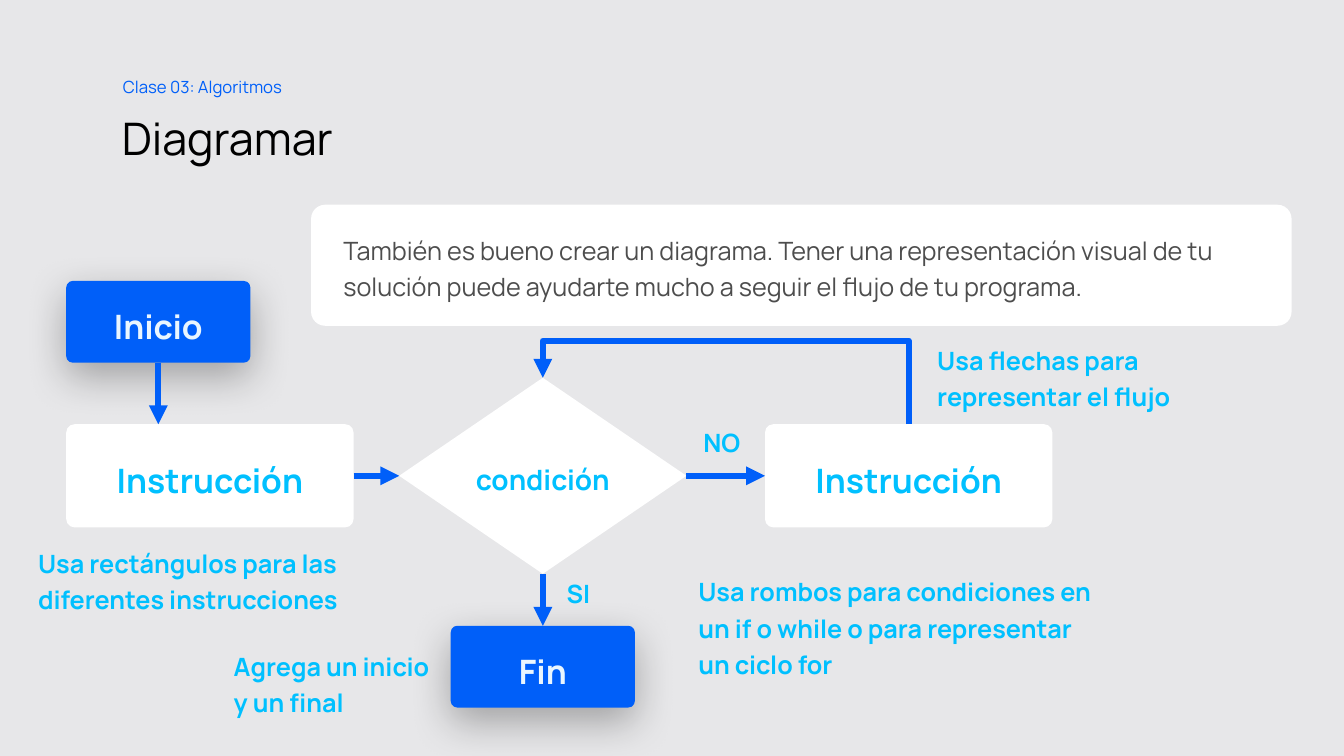
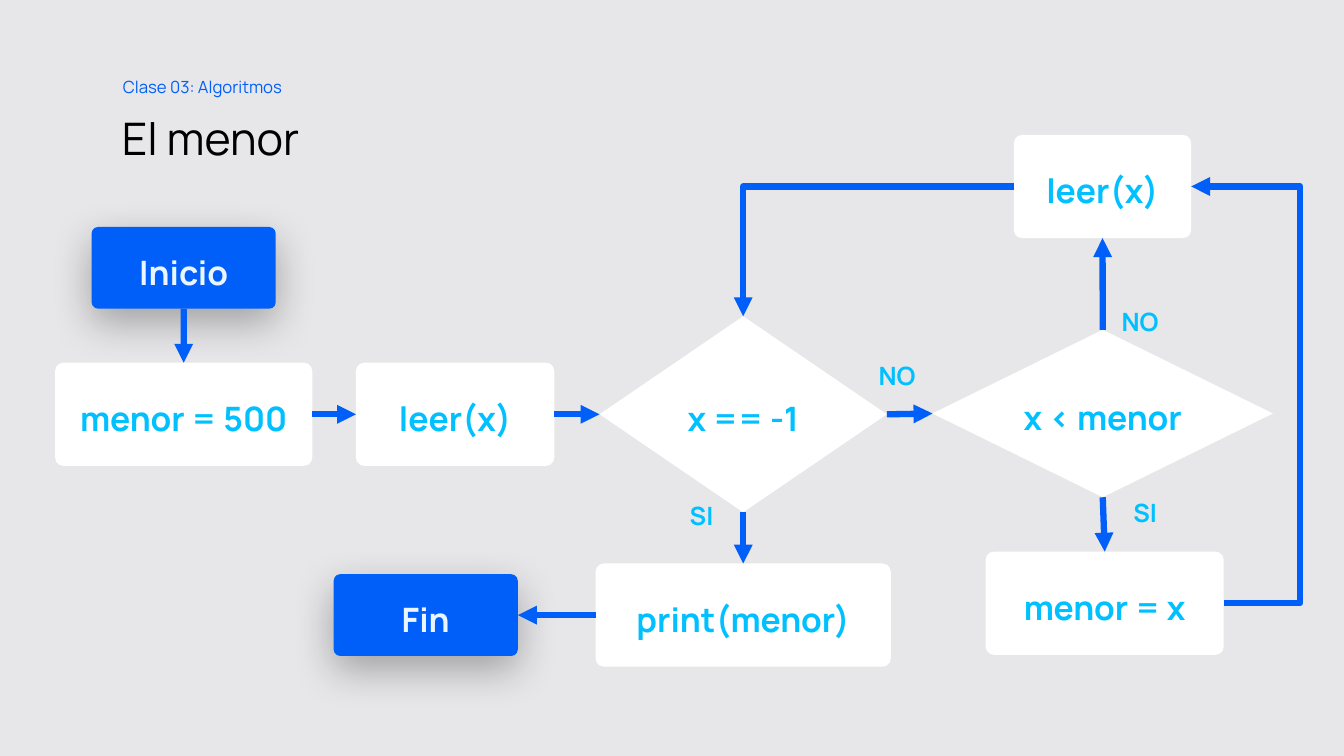
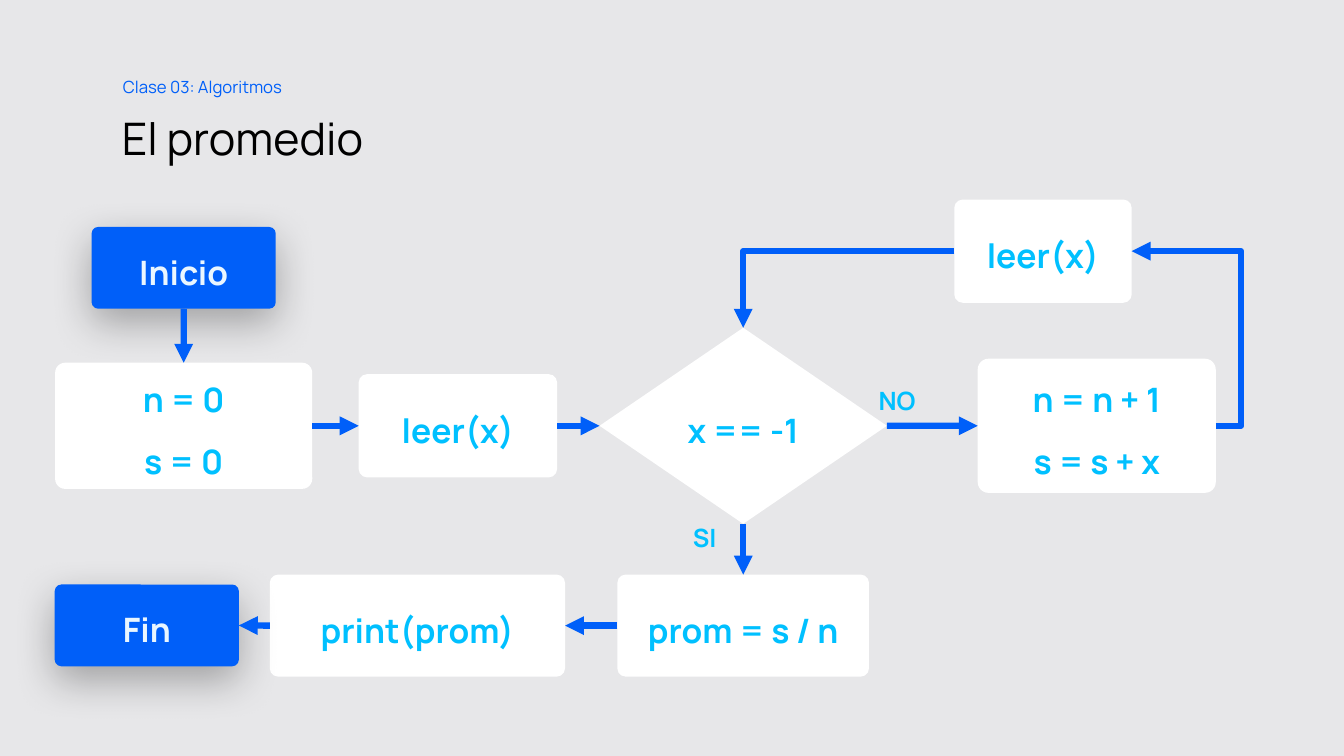
from dataclasses import dataclass, field
from typing import Optional

from lxml import etree
from pptx import Presentation
from pptx.dml.color import RGBColor
from pptx.enum.shapes import MSO_CONNECTOR, MSO_SHAPE
from pptx.enum.text import MSO_ANCHOR, PP_ALIGN
from pptx.oxml import parse_xml
from pptx.oxml.ns import nsdecls, qn
from pptx.util import Cm, Pt

ROUNDED, DIAMOND = MSO_SHAPE.ROUNDED_RECTANGLE, MSO_SHAPE.DIAMOND
STRAIGHT, ELBOW = MSO_CONNECTOR.STRAIGHT, MSO_CONNECTOR.ELBOW
LEFT_ALIGN, CENTER = PP_ALIGN.LEFT, PP_ALIGN.CENTER
TOP_ANCHOR, MIDDLE = MSO_ANCHOR.TOP, MSO_ANCHOR.MIDDLE
TOP, LEFT, BOTTOM, RIGHT = range(4)

FONT = "Manrope"
COLORS = {
    "background": "E7E7E9",
    "blue": "005FF9",
    "cyan": "00C0FF",
    "pale": "EAF6FF",
    "white": "FFFFFF",
    "black": "000000",
    "body": "4D4D4D",
}
LABEL_INSETS = (0.25, 0.13, 0.25, 0.13)
NO_INSETS = (0, 0, 0, 0)


@dataclass
class TextStyle:
    size: float
    color: str
    bold: bool = True
    align: int = CENTER
    line_spacing: float = 1.2
    anchor: int = MIDDLE
    insets: tuple = NO_INSETS


TAG = TextStyle(12, "blue", False, LEFT_ALIGN, 1.2, TOP_ANCHOR, (0, 0.13, 0.25, 0.13))
TITLE = TextStyle(32, "black", False, LEFT_ALIGN, 0.9, MIDDLE, (0, 0.25, 0.25, 0.13))
BODY = TextStyle(18, "body", False, LEFT_ALIGN, insets=(0.71, 0, 0.71, 0))
STEP = TextStyle(24, "cyan")
SMALL_STEP = TextStyle(20, "cyan")
TERMINAL = TextStyle(24, "pale")
ANSWER = TextStyle(18, "cyan", anchor=TOP_ANCHOR, insets=LABEL_INSETS)
HINT = TextStyle(18, "cyan", True, LEFT_ALIGN, 1.2, TOP_ANCHOR, LABEL_INSETS)


@dataclass
class Node:
    """A filled shape of the flow chart, in centimetres."""
    text: str
    left: float
    top: float
    width: float = 7.24
    height: float = 2.6
    shape: int = ROUNDED
    fill: str = "white"
    style: TextStyle = field(default_factory=lambda: STEP)
    corner: float = 0.08
    shadow: bool = False


@dataclass
class Label:
    text: str
    left: float
    top: float
    width: float = 1.78
    height: float = 1.19
    style: TextStyle = field(default_factory=lambda: ANSWER)


@dataclass
class Link:
    """An arrow between two node sides; without end_side it drops straight down."""
    start: str
    start_side: int
    end: str
    end_side: Optional[int]
    preset: str = ""
    bend: Optional[float] = None


@dataclass
class Page:
    title: str
    nodes: dict
    links: list
    labels: list


def terminal(text: str, left: float, top: float) -> Node:
    return Node(text, left, top, 4.64, 2.06, fill="blue", style=TERMINAL, shadow=True)


def decision(text: str, left: float, top: float, width: float = 7.24,
             height: float = 4.94, style: TextStyle = STEP) -> Node:
    return Node(text, left, top, width, height, DIAMOND, style=style)


def hint(text: str, left: float, top: float, width: float, height: float = 2.11) -> Label:
    return Label(text, left, top, width, height, HINT)


PAGES = [
    Page(
        "Diagramar",
        {
            "start": terminal("Inicio", 1.67, 7.08),
            "first": Node("Instrucción", 1.67, 10.69),
            "repeat": Node("Instrucción", 19.28, 10.69),
            "end": terminal("Fin", 11.36, 15.77),
            "note": Node(
                "También es bueno crear un diagrama. Tener una representación visual de tu "
                "solución puede ayudarte mucho a seguir el flujo de tu programa.",
                7.84, 5.16, 24.71, 3.05, style=BODY, corner=0.116),
            "test": decision("condición", 10.06, 9.52, style=SMALL_STEP),
        },
        [
            Link("start", BOTTOM, "first", None),
            Link("first", RIGHT, "test", LEFT),
            Link("test", RIGHT, "repeat", LEFT),
            Link("test", BOTTOM, "end", TOP),
            Link("repeat", TOP, "test", TOP, "bentConnector3", 1.795),
        ],
        [
            Label("SI", 13.69, 14.3),
            Label("NO", 17.3, 10.49),
            hint("Agrega un inicio y un final", 5.64, 16.13, 5.74),
            hint("Usa rectángulos para las diferentes instrucciones", 0.71, 13.54, 9.37),
            hint("Usa flechas para representar el flujo", 23.37, 8.41, 7.24),
            hint("Usa rombos para condiciones en un if o while o para representar "
                 "un ciclo for", 17.35, 14.25, 10.54, 3.02),
        ],
    ),
    Page(
        "El menor",
        {
            "start": terminal("Inicio", 2.31, 5.72),
            "setup": Node("menor = 500", 1.39, 9.14, 6.48),
            "read": Node("leer(x)", 8.97, 9.14, 5),
            "test": decision("x == -1", 15.11, 7.97),
            "print": Node("print(menor)", 15.01, 14.2, 7.44),
            "end": terminal("Fin", 8.41, 14.47),
            "compare": decision("x < menor", 23.5, 8.31, 8.58, 4.22),
            "update": Node("menor = x", 24.84, 13.9, 6),
            "read_next": Node("leer(x)", 25.55, 3.4, 4.47),
        },
        [
            Link("start", BOTTOM, "setup", TOP),
            Link("setup", RIGHT, "read", LEFT),
            Link("read", RIGHT, "test", LEFT),
            Link("test", RIGHT, "compare", LEFT),
            Link("test", BOTTOM, "print", TOP),
            Link("print", LEFT, "end", RIGHT),
            Link("compare", TOP, "read_next", BOTTOM),
            Link("compare", BOTTOM, "update", TOP),
            Link("update", RIGHT, "read_next", RIGHT, "bentConnector3", -2.356),
            Link("read_next", LEFT, "test", TOP, "bentConnector2"),
        ],
        [
            Label("SI", 16.79, 12.32),
            Label("NO", 21.72, 8.79),
            Label("NO", 27.84, 7.44),
            Label("SI", 27.97, 12.24),
        ],
    ),
    Page(
        "El promedio",
        {
            "start": terminal("Inicio", 2.31, 5.72),
            "setup": Node("n = 0\ns = 0", 1.39, 9.14, 6.48, 3.18),
            "read": Node("leer(x)", 9.04, 9.43, 5),
            "test": decision("x == -1", 15.11, 8.26),
            "average": Node("prom = s / n", 15.56, 14.48, 6.34, 2.57),
            "print": Node("print(prom)", 6.8, 14.48, 7.44, 2.57),
            "end": terminal("Fin", 1.38, 14.73),
            "update": Node("n = n + 1\ns = s + x", 24.64, 9.04, 6, 3.38),
            "read_next": Node("leer(x)", 24.05, 5.03, 4.47),
        },
        [
            Link("start", BOTTOM, "setup", TOP),
            Link("setup", RIGHT, "read", LEFT),
            Link("read", RIGHT, "test", LEFT),
            Link("test", RIGHT, "update", LEFT),
            Link("test", BOTTOM, "average", TOP),
            Link("average", LEFT, "print", RIGHT),
            Link("print", LEFT, "end", RIGHT),
            Link("update", RIGHT, "read_next", RIGHT, "bentConnector3", -0.3),
            Link("read_next", LEFT, "test", TOP, "bentConnector2"),
        ],
        [
            Label("SI", 16.87, 12.88),
            Label("NO", 21.72, 9.42),
        ],
    ),
]


def rgb(name: str) -> RGBColor:
    return RGBColor.from_string(COLORS[name])


def write_text(box, text: str, style: TextStyle) -> None:
    frame = box.text_frame
    frame.word_wrap = True
    frame.vertical_anchor = style.anchor
    (frame.margin_left, frame.margin_top,
     frame.margin_right, frame.margin_bottom) = map(Cm, style.insets)
    frame.text = text
    for index, paragraph in enumerate(frame.paragraphs):
        paragraph.alignment = style.align
        paragraph.line_spacing = style.line_spacing
        paragraph.space_before = Pt(10 if index else 0)
        paragraph.font.name = FONT
        paragraph.font.size = Pt(style.size)
        paragraph.font.bold = style.bold
        paragraph.font.color.rgb = rgb(style.color)


def add_label(slide, label: Label) -> None:
    box = slide.shapes.add_textbox(
        Cm(label.left), Cm(label.top), Cm(label.width), Cm(label.height))
    write_text(box, label.text, label.style)


def add_shadow(box) -> None:
    effects = box._element.spPr.find(qn("a:effectLst"))
    effects.append(parse_xml(
        f'<a:outerShdw {nsdecls("a")} blurRad="{Pt(30)}" dist="{Pt(10)}" dir="5400000" '
        f'algn="t" rotWithShape="0"><a:srgbClr val="{COLORS["black"]}">'
        '<a:alpha val="30000"/></a:srgbClr></a:outerShdw>'))


def add_node(slide, node: Node):
    box = slide.shapes.add_shape(
        node.shape, Cm(node.left), Cm(node.top), Cm(node.width), Cm(node.height))
    if node.shape == ROUNDED:
        box.adjustments[0] = node.corner
    box.fill.solid()
    box.fill.fore_color.rgb = rgb(node.fill)
    box.line.fill.background()
    box.shadow.inherit = False
    if node.shadow:
        add_shadow(box)
    write_text(box, node.text, node.style)
    return box


def turn_upright(arrow) -> None:
    """Rotate an elbow a quarter turn, so that it leaves its node upwards."""
    width, height = arrow.width, arrow.height
    arrow.left += (width - height) // 2
    arrow.top += (height - width) // 2
    arrow.width, arrow.height = height, width
    frame = arrow._element.spPr.find(qn("a:xfrm"))
    frame.set("rot", str(270 * 60000))
    frame.set("flipH", "0")
    frame.set("flipV", "1")


def bend_arrow(arrow, link: Link) -> None:
    geometry = arrow._element.spPr.find(qn("a:prstGeom"))
    geometry.set("prst", link.preset)
    if link.bend is not None:
        guide = etree.SubElement(geometry.find(qn("a:avLst")), qn("a:gd"))
        guide.set("name", "adj1")
        guide.set("fmla", f"val {round(link.bend * 100000)}")
    if link.start_side == TOP:
        turn_upright(arrow)


def add_link(slide, link: Link, boxes: dict) -> None:
    start, end = boxes[link.start], boxes[link.end]
    arrow = slide.shapes.add_connector(
        ELBOW if link.preset else STRAIGHT,
        start.left + start.width // 2, start.top + start.height,
        start.left + start.width // 2, end.top)
    arrow.begin_connect(start, link.start_side)
    if link.end_side is not None:
        arrow.end_connect(end, link.end_side)
    if link.preset:
        bend_arrow(arrow, link)
    arrow.line.color.rgb = rgb("blue")
    arrow.line.width = Pt(4.5)
    etree.SubElement(arrow.line._get_or_add_ln(), qn("a:tailEnd")).set("type", "triangle")
    etree.SubElement(arrow._element.spPr, qn("a:effectLst"))


def add_page(deck, page: Page) -> None:
    slide = deck.slides.add_slide(deck.slide_layouts[6])
    slide.background.fill.solid()
    slide.background.fill.fore_color.rgb = rgb("background")
    add_label(slide, Label("Clase 03: Algoritmos", 3.1, 1.7, 4.65, 0.86, TAG))
    add_label(slide, Label(page.title, 3.07, 2.54, 27.56, 1.9, TITLE))
    boxes = {name: add_node(slide, node) for name, node in page.nodes.items()}
    for link in page.links:
        add_link(slide, link, boxes)
    for label in page.labels:
        add_label(slide, label)


def main() -> None:
    deck = Presentation()
    deck.slide_width, deck.slide_height = Cm(33.87), Cm(19.05)
    for page in PAGES:
        add_page(deck, page)
    deck.save("out.pptx")


if __name__ == "__main__":
    main()
